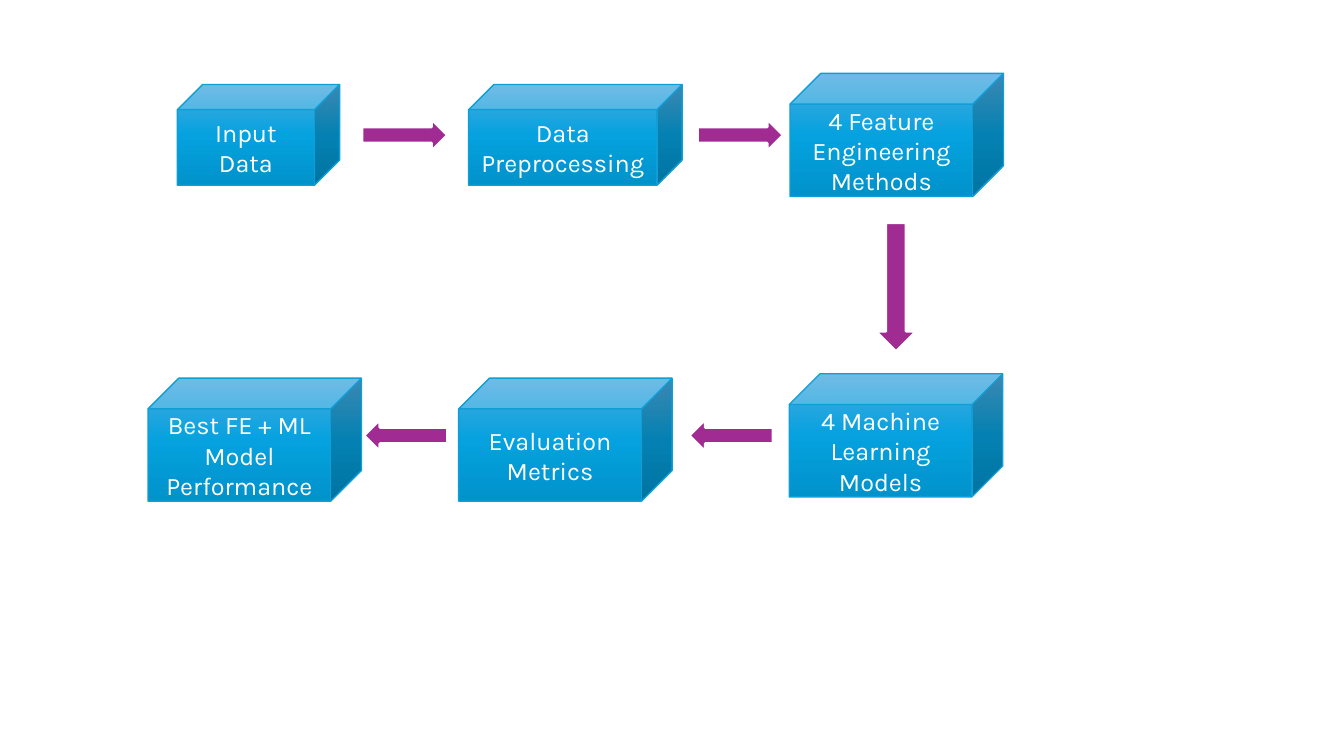
from copy import deepcopy

from pptx import Presentation
from pptx.dml.color import RGBColor
from pptx.enum.shapes import MSO_SHAPE
from pptx.enum.text import MSO_ANCHOR, PP_ALIGN
from pptx.oxml.ns import qn
from pptx.util import Cm, Pt

CUBE = MSO_SHAPE.CUBE
RIGHT = MSO_SHAPE.RIGHT_ARROW
DOWN = MSO_SHAPE.DOWN_ARROW
LEFT = MSO_SHAPE.LEFT_ARROW
MIDDLE = MSO_ANCHOR.MIDDLE
CENTER = PP_ALIGN.CENTER

COLORS = {
    "cube_top": "4CAADF",
    "cube_middle": "05A2DF",
    "cube_bottom": "0092CB",
    "cube_edge": "0F9ED5",
    "arrow": "A02B93",
    "white": "FFFFFF",
}
CUBE_GRADIENT = [(0, "cube_top"), (0.5, "cube_middle"), (1, "cube_bottom")]

STEPS = [
    ("Input Data", 4.47, 2.13, 4.09, 2.54),
    ("Data Preprocessing", 11.81, 2.13, 5.38, 2.54),
    ("4 Feature Engineering Methods", 19.91, 1.85, 5.38, 3.1),
    ("4 Machine Learning Models", 19.89, 9.42, 5.38, 3.1),
    ("Evaluation Metrics", 11.56, 9.53, 5.38, 3.1),
    ("Best FE + ML Model Performance", 3.73, 9.53, 5.38, 3.1),
]
ARROWS = [
    (RIGHT, 9.12, 3, 2.16, 0.81),
    (RIGHT, 17.58, 3, 2.16, 0.81),
    (DOWN, 22.07, 5.61, 1.02, 3.25),
    (LEFT, 17.37, 10.57, 2.11, 0.81),
    (LEFT, 9.17, 10.57, 2.11, 0.81),
]


def color(name):
    return RGBColor.from_string(COLORS[name])


class FlowSlide:
    font_name = "Karla"
    font_size = Pt(18)

    def __init__(self, slide):
        self.slide = slide

    def outlined(self, preset, box, edge, width):
        shape = self.slide.shapes.add_shape(preset, *map(Cm, box))
        shape.shadow.inherit = False
        shape.line.color.rgb = color(edge)
        shape.line.width = Pt(width)
        return shape

    def step(self, label, *box):
        cube = self.outlined(CUBE, box, "cube_edge", 1)
        self.shade(cube)
        frame = cube.text_frame
        frame.word_wrap = True
        frame.vertical_anchor = MIDDLE
        frame.text = label
        paragraph = frame.paragraphs[0]
        paragraph.alignment = CENTER
        paragraph.font.name = self.font_name
        paragraph.font.size = self.font_size
        paragraph.font.color.rgb = color("white")

    def shade(self, cube):
        fill = cube.fill
        fill.gradient()
        fill.gradient_angle = 270
        stop_list = next(cube.element.spPr.iter(qn("a:gsLst")))
        stop_list.append(deepcopy(stop_list[0]))
        for stop, (position, name) in zip(fill.gradient_stops, CUBE_GRADIENT):
            stop.position = position
            stop.color.rgb = color(name)

    def arrow(self, preset, *box):
        arrow = self.outlined(preset, box, "white", 2)
        arrow.fill.solid()
        arrow.fill.fore_color.rgb = color("arrow")


def main():
    deck = Presentation()
    deck.slide_width = Cm(33.87)
    deck.slide_height = Cm(19.05)
    flow = FlowSlide(deck.slides.add_slide(deck.slide_layouts[6]))
    for step in STEPS:
        flow.step(*step)
    for arrow in ARROWS:
        flow.arrow(*arrow)
    deck.save("out.pptx")


if __name__ == "__main__":
    main()
